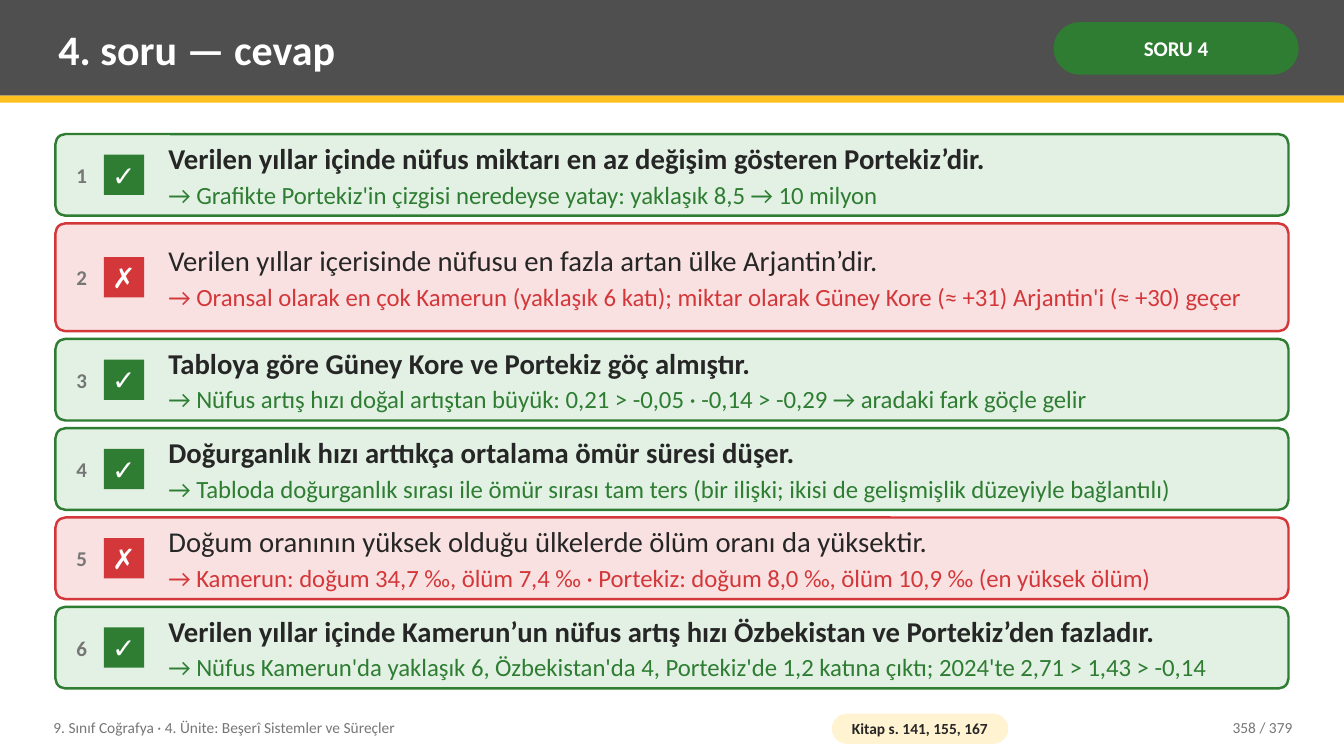
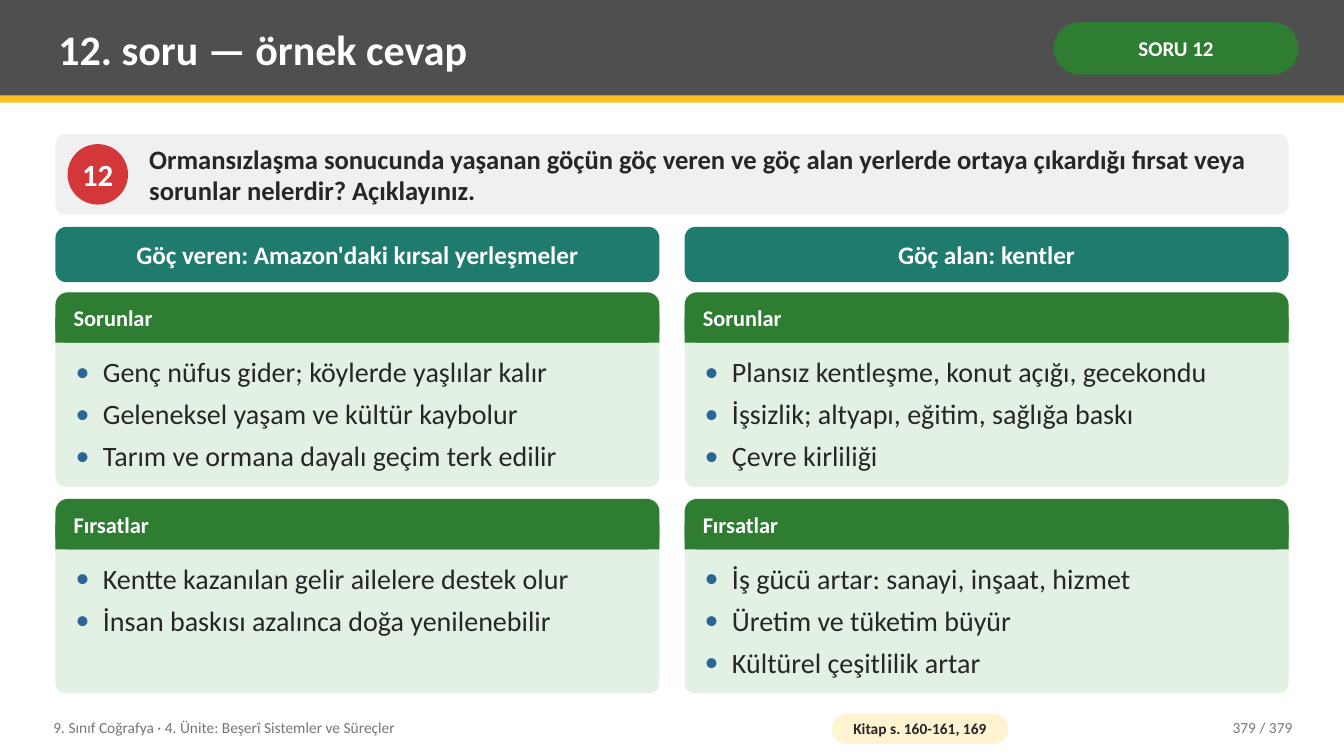
from dataclasses import dataclass
from typing import NamedTuple

from lxml.etree import SubElement
from pptx import Presentation
from pptx.dml.color import RGBColor
from pptx.enum.shapes import MSO_SHAPE
from pptx.enum.text import MSO_ANCHOR, MSO_AUTO_SIZE, PP_ALIGN
from pptx.oxml.ns import qn
from pptx.shapes.autoshape import Shape
from pptx.slide import Slide
from pptx.text.text import TextFrame
from pptx.util import Inches, Pt

WHITE = RGBColor(0xFF, 0xFF, 0xFF)
INK = RGBColor(0x26, 0x26, 0x26)
GREY = RGBColor(0x76, 0x76, 0x76)
SLATE = RGBColor(0x4F, 0x4F, 0x4F)
PALE = RGBColor(0xF0, 0xF0, 0xF0)
GOLD = RGBColor(0xFC, 0xC0, 0x21)
CREAM = RGBColor(0xFF, 0xF3, 0xD1)
GREEN = RGBColor(0x2E, 0x7D, 0x32)
MINT = RGBColor(0xE3, 0xF1, 0xE4)
RED = RGBColor(0xD3, 0x37, 0x3A)
PINK = RGBColor(0xF9, 0xE1, 0xE1)
TEAL = RGBColor(0x1E, 0x7B, 0x6E)
BLUE = RGBColor(0x2C, 0x66, 0x96)

FONT = "Calibri"
WIDTH, HEIGHT = 13.33, 7.5
LEFT, TOP, SPAN = 0.55, 1.33, 12.23
UNIT = "9. Sınıf Coğrafya · 4. Ünite: Beşerî Sistemler ve Süreçler"
PAGES = 379

RECT, ROUND, OVAL = MSO_SHAPE.RECTANGLE, MSO_SHAPE.ROUNDED_RECTANGLE, MSO_SHAPE.OVAL
CENTER, RIGHT = PP_ALIGN.CENTER, PP_ALIGN.RIGHT
MIDDLE = MSO_ANCHOR.MIDDLE


class Box(NamedTuple):
    x: float
    y: float
    w: float
    h: float


@dataclass
class Line:
    text: str
    size: float
    ink: RGBColor = INK
    bold: bool = False
    align: PP_ALIGN = PP_ALIGN.LEFT
    after: float = 0
    bullet: bool = False


@dataclass
class Claim:
    text: str
    reason: str
    right: bool = True
    height: float = 0.81


@dataclass
class Panel:
    title: str
    points: list[str]


@dataclass
class Column:
    title: str
    panels: list[Panel]


CLAIMS = [
    Claim("Verilen yıllar içinde nüfus miktarı en az değişim gösteren Portekiz’dir.",
          "Grafikte Portekiz'in çizgisi neredeyse yatay: yaklaşık 8,5 → 10 milyon"),
    Claim("Verilen yıllar içerisinde nüfusu en fazla artan ülke Arjantin’dir.",
          "Oransal olarak en çok Kamerun (yaklaşık 6 katı); miktar olarak "
          "Güney Kore (≈ +31) Arjantin'i (≈ +30) geçer", False, 1.07),
    Claim("Tabloya göre Güney Kore ve Portekiz göç almıştır.",
          "Nüfus artış hızı doğal artıştan büyük: 0,21 > -0,05 · -0,14 > -0,29 "
          "→ aradaki fark göçle gelir"),
    Claim("Doğurganlık hızı arttıkça ortalama ömür süresi düşer.",
          "Tabloda doğurganlık sırası ile ömür sırası tam ters "
          "(bir ilişki; ikisi de gelişmişlik düzeyiyle bağlantılı)"),
    Claim("Doğum oranının yüksek olduğu ülkelerde ölüm oranı da yüksektir.",
          "Kamerun: doğum 34,7 ‰, ölüm 7,4 ‰ · Portekiz: doğum 8,0 ‰, "
          "ölüm 10,9 ‰ (en yüksek ölüm)", False),
    Claim("Verilen yıllar içinde Kamerun’un nüfus artış hızı Özbekistan ve Portekiz’den fazladır.",
          "Nüfus Kamerun'da yaklaşık 6, Özbekistan'da 4, Portekiz'de 1,2 katına çıktı; "
          "2024'te 2,71 > 1,43 > -0,14"),
]

COLUMNS = [
    Column("Göç veren: Amazon'daki kırsal yerleşmeler", [
        Panel("Sorunlar", ["Genç nüfus gider; köylerde yaşlılar kalır",
                           "Geleneksel yaşam ve kültür kaybolur",
                           "Tarım ve ormana dayalı geçim terk edilir"]),
        Panel("Fırsatlar", ["Kentte kazanılan gelir ailelere destek olur",
                            "İnsan baskısı azalınca doğa yenilenebilir"]),
    ]),
    Column("Göç alan: kentler", [
        Panel("Sorunlar", ["Plansız kentleşme, konut açığı, gecekondu",
                           "İşsizlik; altyapı, eğitim, sağlığa baskı",
                           "Çevre kirliliği"]),
        Panel("Fırsatlar", ["İş gücü artar: sanayi, inşaat, hizmet",
                            "Üretim ve tüketim büyür",
                            "Kültürel çeşitlilik artar"]),
    ]),
]


def apply(target: object, values: dict) -> None:
    for name, value in values.items():
        setattr(target, name, value)


def place(box: Box) -> list[Inches]:
    return [Inches(side) for side in box]


def write(frame: TextFrame, lines: list[Line], pad: tuple[float, float] = (0.08, 0.04),
          anchor: MSO_ANCHOR = MIDDLE, wrap: bool = True) -> None:
    """Fill a frame; pad is the inset at the sides and at top and bottom."""
    side, edge = map(Inches, pad)
    apply(frame, {"auto_size": MSO_AUTO_SIZE.NONE, "word_wrap": wrap,
                  "vertical_anchor": anchor, "margin_left": side, "margin_right": side,
                  "margin_top": edge, "margin_bottom": edge})
    for i, line in enumerate(lines):
        par = frame.add_paragraph() if i else frame.paragraphs[0]
        apply(par, {"alignment": line.align, "space_before": Pt(0),
                    "space_after": Pt(line.after)})
        if line.bullet:
            mark(par._p.get_or_add_pPr())
        run = par.add_run()
        run.text = line.text
        apply(run.font, {"name": FONT, "size": Pt(line.size), "bold": line.bold})
        run.font.color.rgb = line.ink


def mark(props) -> None:
    """Give paragraph properties a hanging blue bullet."""
    indent = Inches(0.27)
    props.set("marL", str(indent))
    props.set("indent", str(-indent))
    tint = SubElement(props, qn("a:buClr"))
    SubElement(tint, qn("a:srgbClr"), val=str(BLUE))
    SubElement(props, qn("a:buFont"), typeface=FONT)
    SubElement(props, qn("a:buChar"), char="•")


def draw(slide: Slide, kind: MSO_SHAPE, box: Box, fill: RGBColor,
         curve: float = 0, edge: RGBColor | None = None) -> Shape:
    shape = slide.shapes.add_shape(kind, *place(box))
    shape.shadow.inherit = False
    shape.fill.solid()
    shape.fill.fore_color.rgb = fill
    if edge is None:
        shape.line.fill.background()
    else:
        shape.line.color.rgb = edge
        shape.line.width = Pt(1.75)
    if kind == ROUND:
        shape.adjustments[0] = curve
    return shape


def label(slide: Slide, box: Box, *lines: Line, pad: tuple[float, float] = (0.08, 0.04)) -> None:
    write(slide.shapes.add_textbox(*place(box)).text_frame, list(lines), pad)


def settle(slide: Slide, index: int, box: Box) -> TextFrame:
    """Move a placeholder into its box, in front of what is drawn so far."""
    holder = slide.placeholders[index]
    apply(holder, dict(zip(("left", "top", "width", "height"), place(box))))
    holder.element.getparent().append(holder.element)
    return holder.text_frame


def header(slide: Slide, title: str, tag: str) -> None:
    draw(slide, RECT, Box(0, 0, WIDTH, 0.95), SLATE)
    draw(slide, RECT, Box(0, 0.95, WIDTH, 0.07), GOLD)
    write(settle(slide, 0, Box(0.5, 0.07, 9.75, 0.82)), [Line(title, 30, WHITE, True)])
    pill = draw(slide, ROUND, Box(10.45, 0.22, 2.43, 0.52), GREEN, 0.5)
    write(pill.text_frame, [Line(tag, 15, WHITE, True, CENTER)], (0.05, 0.02))


def footer(slide: Slide, source: str, page: int) -> None:
    label(slide, Box(0.45, 7.04, 7.6, 0.36), Line(UNIT, 11, GREY))
    pill = draw(slide, ROUND, Box(8.25, 7.08, 1.75, 0.3), CREAM, 0.5)
    write(pill.text_frame, [Line(source, 11, INK, True, CENTER)], (0.04, 0))
    label(slide, Box(11.3, 7.04, 1.6, 0.36), Line(f"{page} / {PAGES}", 11, GREY, align=RIGHT))


def verdict(slide: Slide, claim: Claim, number: int, top: float) -> None:
    """Draw one claim row with its number, tick or cross, and reason."""
    tone, back, sign = (GREEN, MINT, "✓") if claim.right else (RED, PINK, "✗")
    tall, tick = claim.height, 0.4
    draw(slide, ROUND, Box(LEFT, top, SPAN, tall), back, 0.1 / tall, tone)
    label(slide, Box(0.61, top, 0.4, tall),
          Line(str(number), 15, GREY, True, CENTER), pad=(0, 0.04))
    badge = draw(slide, RECT, Box(1.03, top + (tall - tick) / 2, tick, tick), tone)
    write(badge.text_frame, [Line(sign, 20, WHITE, True, CENTER)], (0, 0))
    label(slide, Box(1.59, top, 11.11, tall),
          Line(claim.text, 20.5, INK, claim.right, after=3),
          Line(f"→ {claim.reason}", 17.7, tone))


def card(slide: Slide, panel: Panel, box: Box, index: int) -> None:
    """Draw a titled panel with its list in the given placeholder."""
    x, y, w, _ = box
    head = 0.5
    draw(slide, ROUND, box, MINT, 0.05)
    draw(slide, ROUND, Box(x, y, w, head), GREEN, 0.25)
    draw(slide, RECT, Box(x, y + head / 2, w, head / 2), GREEN)
    label(slide, Box(x + 0.1, y, w - 0.2, head), Line(panel.title, 16, WHITE, True))
    last = len(panel.points) - 1
    points = [Line(point, 20, after=6 if i < last else 0, bullet=True)
              for i, point in enumerate(panel.points)]
    body = settle(slide, index, Box(x + 0.12, y + 0.58, w - 0.24, 1.27))
    write(body, points, anchor=MSO_ANCHOR.TOP)


def claims(slide: Slide) -> None:
    header(slide, "4. soru — cevap", "SORU 4")
    gap = (5.5 - sum(claim.height for claim in CLAIMS)) / (len(CLAIMS) - 1)
    top = TOP
    for number, claim in enumerate(CLAIMS, 1):
        verdict(slide, claim, number, top)
        top += claim.height + gap
    footer(slide, "Kitap s. 141, 155, 167", 358)


def effects(slide: Slide) -> None:
    header(slide, "12. soru — örnek cevap", "SORU 12")
    draw(slide, ROUND, Box(LEFT, TOP, SPAN, 0.8), PALE, 0.12)
    disc = draw(slide, OVAL, Box(0.67, 1.43, 0.6, 0.6), RED)
    write(disc.text_frame, [Line("12", 22, WHITE, True, CENTER)], (0, 0), wrap=False)
    label(slide, Box(1.4, TOP, 11.28, 0.8),
          Line("Ormansızlaşma sonucunda yaşanan göçün göç veren ve göç alan yerlerde "
               "ortaya çıkardığı fırsat veya sorunlar nelerdir? Açıklayınız.", 19, INK, True))
    gap, tall = 0.25, 1.93
    wide = (SPAN - gap) / 2
    index = 1
    for i, column in enumerate(COLUMNS):
        x = LEFT + i * (wide + gap)
        banner = draw(slide, ROUND, Box(x, 2.25, wide, 0.55), TEAL, 0.2)
        write(banner.text_frame, [Line(column.title, 18, WHITE, True, CENTER)], (0.14, 0.08))
        for j, panel in enumerate(column.panels):
            card(slide, panel, Box(x, 2.9 + j * (tall + 0.12), wide, tall), index)
            index += 1
    footer(slide, "Kitap s. 160-161, 169", 379)


def main() -> None:
    deck = Presentation()
    deck.slide_width, deck.slide_height = Inches(WIDTH), Inches(HEIGHT)
    single = deck.slide_layouts.get_by_name("Title Only")
    paired = deck.slide_layouts.get_by_name("Comparison")
    claims(deck.slides.add_slide(single))
    effects(deck.slides.add_slide(paired))
    deck.save("out.pptx")


if __name__ == "__main__":
    main()
